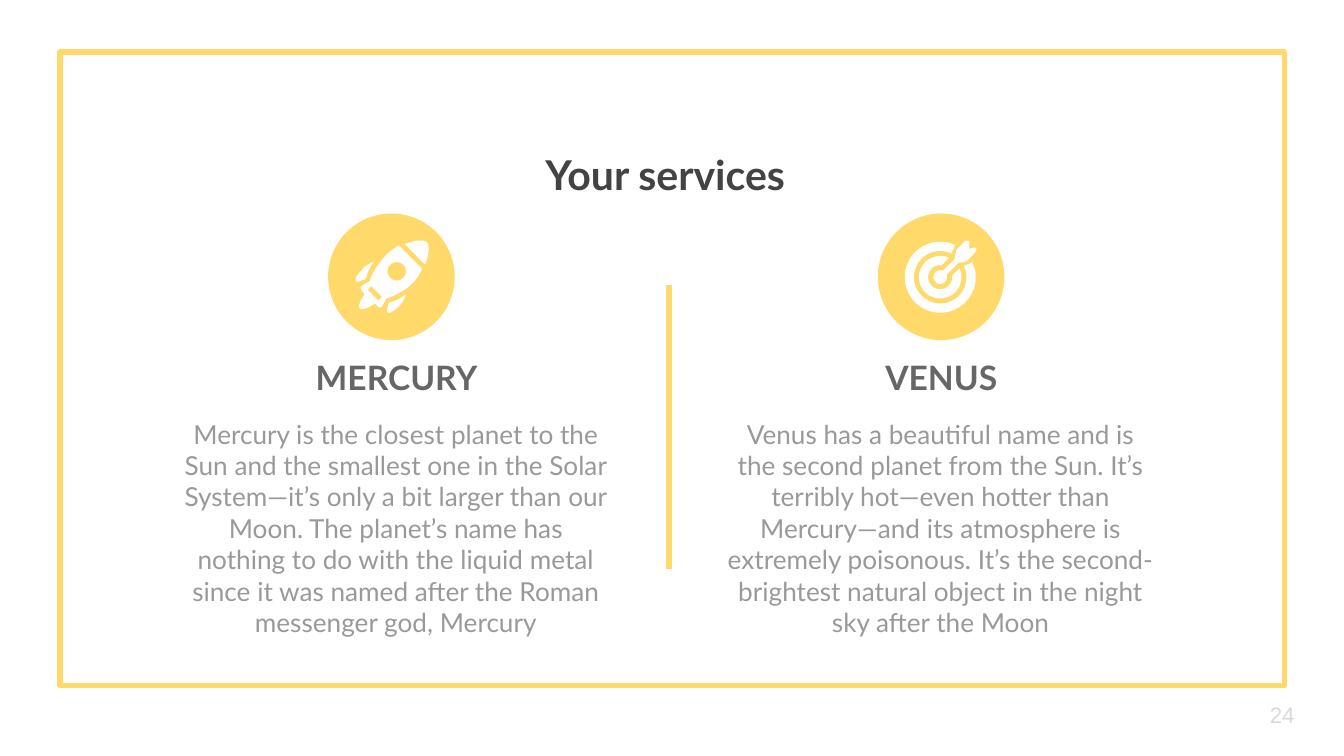
from math import cos, radians, sin, tan

from pptx import Presentation
from pptx.dml.color import RGBColor
from pptx.enum.shapes import MSO_CONNECTOR, MSO_SHAPE as SHAPE
from pptx.enum.text import MSO_ANCHOR as ANCHOR, MSO_AUTO_SIZE, PP_ALIGN as ALIGN
from pptx.oxml.ns import qn
from pptx.util import Pt

YELLOW = RGBColor(0xFF, 0xD9, 0x69)
WHITE = RGBColor(0xFF, 0xFF, 0xFF)
TITLE_GRAY = RGBColor(0x43, 0x43, 0x43)
HEADING_GRAY = RGBColor(0x66, 0x66, 0x66)
BODY_GRAY = RGBColor(0x99, 0x99, 0x99)
NUMBER_GRAY = RGBColor(0xD9, 0xD9, 0xD9)
BADGE_SIZE = 64.8


def arc(center, radius, start, end):
    """Start point and four Bezier curves along an arc, with angles in degrees."""
    step = radians(end - start) / 4
    reach = 4 / 3 * tan(step / 4)

    def at(angle, pull=0):
        return (center[0] + radius * (cos(angle) - pull * sin(angle)),
                center[1] + radius * (sin(angle) + pull * cos(angle)))

    angles = [radians(start) + step * i for i in range(4)]
    return [at(angles[0])] + [at(a, reach) + at(a + step, -reach) + at(a + step) for a in angles]


def broken_ring(outer, inner, inner_gap):
    """Ring open towards the upper right, where the dart enters."""
    return (arc(TARGET_CENTER, outer, -25, 295)
            + arc(TARGET_CENTER, inner, 315 - inner_gap, inner_gap - 45))


# Icons: shapes made of outlines, in points from the badge's corner.
# Pairs are corners, six numbers are a Bezier curve.
ROCKET = [
    # Body, window and slot
    [[(36, 15.8), (32.4, 18, 28.8, 20.9, 26.6, 24.5), (24.5, 26.6, 23, 29.5, 21.6, 32.4),
      (20.9, 34.6), (16.6, 37.2), (15.6, 37.6, 15.6, 38.9, 16.4, 39.6), (18, 41.6),
      (17.3, 43.2, 15.1, 46.1, 15.1, 48.2), (15.1, 49.4, 15.8, 49.7, 17.3, 49.7),
      (18.7, 49.7, 21.6, 47.8, 23.8, 46.8), (25.2, 48.4), (25.9, 49.2, 26.9, 49.2, 27.4, 48.4),
      (29.7, 44), (31, 43.9, 31.7, 43.4, 32.4, 43.2), (35.3, 41.8, 38.2, 40.3, 40.3, 38.9),
      (43.9, 36, 46.8, 33.1, 48.2, 29.5), (49, 28.8, 49, 28.1, 48.4, 27.7),
      (37.4, 16.5), (37, 16, 36.5, 15.8, 36, 15.8)],
     arc((35.3, 29.5), 5, 0, 360),
     [(21.6, 37.4), (27.4, 43.2), (25.5, 45.2), (19.6, 39.3)]],
    # Nose
    [[(48.2, 13), (44.6, 13, 41.8, 13.7, 39.6, 14.9), (50.4, 25.9),
      (51.6, 23, 52.3, 20.2, 52.4, 17.3), (52.4, 15.8, 52.2, 14.6, 51.3, 13.7),
      (50.4, 13, 49, 13, 48.2, 13)]],
    # Lower fin
    [[(40.3, 41.6), (38.2, 43.2, 36, 44.6, 33.8, 45.4), (33.1, 45.8, 31.7, 46.1, 31, 46.3),
      (31, 47.5, 30.2, 49, 29.9, 49.9), (29.5, 51, 30.2, 52, 31.5, 51.7),
      (33.1, 51.1, 34.6, 49.9, 36, 48.6), (38.2, 46.8, 39.6, 43.9, 40.3, 41.6)]],
    # Upper fin
    [[(23, 24.4), (20.2, 25.2, 18, 26.8, 16.4, 28.8), (15.1, 30.2, 13.9, 31.7, 13.2, 33.1),
      (12.6, 34.2, 13.4, 35.6, 14.6, 35.2), (15.8, 34.6, 17.3, 33.9, 18.6, 33.7),
      (19.4, 30.2, 20.9, 27, 23, 24.4)]],
]
TARGET_CENTER = (31.9, 32.6)
TARGET = [
    # Dart with its hub
    [[(46.8, 13.1), (46.4, 12.8, 45.8, 12.8, 45.4, 13.2), (40.6, 18), (39.6, 23), (33.5, 29),
      *arc(TARGET_CENTER, 3.7, -65, -380), (41.8, 24.9), (45.4, 24.5), (46.4, 23.9),
      (51.1, 18.7), (51.8, 17.8, 51.4, 16.6, 50.4, 16.7), (47.4, 17.4), (47.6, 14.4),
      (47.6, 13.6, 47.3, 13.2, 46.8, 13.1)]],
    [broken_ring(11.4, 6.5, 38)],
    [broken_ring(19, 14.1, 20)],
]


def set_text(shape, text, size, color, font="Lato", bold=False,
             align=ALIGN.CENTER, anchor=ANCHOR.TOP):
    frame = shape.text_frame
    frame.text = text
    frame.word_wrap = True
    frame.auto_size = MSO_AUTO_SIZE.NONE
    frame.vertical_anchor = anchor
    frame.margin_left = frame.margin_right = Pt(7.2)
    frame.margin_top = frame.margin_bottom = Pt(7.2)
    paragraph = frame.paragraphs[0]
    paragraph.alignment = align
    paragraph.space_before = Pt(0)
    if shape.is_placeholder:
        remove_bullet(paragraph)
    run_font = paragraph.runs[0].font
    run_font.name, run_font.size, run_font.bold = font, Pt(size), bold
    run_font.color.rgb = color


def remove_bullet(paragraph):
    properties = paragraph._p.get_or_add_pPr()
    properties.set("marL", "0")
    properties.set("indent", "0")
    properties.append(properties.makeelement(qn("a:buNone"), {}))


def place(shape, left, top, width, height):
    shape.left, shape.top = Pt(left), Pt(top)
    shape.width, shape.height = Pt(width), Pt(height)


def add_outlines(group, left, top, outlines):
    """Freeform whose six-number parts become real Bezier curves."""
    builder = None
    for outline in outlines:
        points = [(Pt(left + part[i]), Pt(top + part[i + 1]))
                  for part in outline for i in range(0, len(part), 2)]
        if builder is None:
            builder = group.shapes.build_freeform(*points[0], scale=1.0)
        else:
            builder.move_to(*points[0])
        builder.add_line_segments(points[1:], close=True)
    shape = builder.convert_to_shape()
    segments = iter(list(shape._element.spPr.iter(qn("a:lnTo"))))
    for part in (part for outline in outlines for part in outline[1:]):
        segment = next(segments)
        if len(part) == 6:
            segment.tag = qn("a:cubicBezTo")
            for extra in (next(segments), next(segments)):
                segment.append(extra[0])
                extra.getparent().remove(extra)
    return shape


def add_badge(slide, left, top, icon):
    """Yellow disc with a white icon, grouped."""
    group = slide.shapes.add_group_shape()
    disc = group.shapes.add_shape(SHAPE.OVAL, Pt(left), Pt(top), Pt(BADGE_SIZE), Pt(BADGE_SIZE))
    disc.shadow.inherit = False
    disc.fill.solid()
    disc.fill.fore_color.rgb = YELLOW
    disc.line.color.rgb = YELLOW
    disc.line.width = Pt(3)
    for outlines in icon:
        shape = add_outlines(group, left, top, outlines)
        shape.shadow.inherit = False
        shape.fill.solid()
        shape.fill.fore_color.rgb = WHITE
        shape.line.fill.background()


def add_frame(slide, left, top, width, height):
    """Outer border and the divider between the columns."""
    border = slide.shapes.add_shape(SHAPE.RECTANGLE, Pt(left), Pt(top), Pt(width), Pt(height))
    border.shadow.inherit = False
    border.fill.background()
    x = Pt(left + 326.4)
    divider = slide.shapes.add_connector(MSO_CONNECTOR.STRAIGHT, x, Pt(top + 124.6),
                                         x, Pt(top + 276.6))
    for shape in (border, divider):
        shape.line.color.rgb = YELLOW
        shape.line.width = Pt(3)
    properties = divider._element.spPr
    properties.append(properties.makeelement(qn("a:effectLst"), {}))


def fill_column(slide, heading, body, left, top, width, badge_left, icon, name, text):
    """Badge, heading and description of one service."""
    add_badge(slide, badge_left, top, icon)
    place(heading, left, top + 52.9, width, 51.1)
    set_text(heading, name, 18, HEADING_GRAY, bold=True, anchor=ANCHOR.BOTTOM)
    place(body, left + 2.5, top + 100.9, width - 5.8, 87.8)
    set_text(body, text, 14, BODY_GRAY)


def add_page_number(slide, left, top, width, height):
    box = slide.shapes.add_textbox(Pt(left), Pt(top), Pt(width), Pt(height))
    set_text(box, "24", 12, NUMBER_GRAY, font="Arial", align=ALIGN.LEFT, anchor=ANCHOR.MIDDLE)


def main():
    presentation = Presentation()
    presentation.slide_width, presentation.slide_height = Pt(720), Pt(405)
    slide = presentation.slides.add_slide(presentation.slide_layouts.get_by_name("Comparison"))
    title, left_heading, left_body, right_heading, right_body = slide.placeholders

    add_frame(slide, 32.1, 28, 656, 339.3)
    place(title, -3.6, 72.7, 720, 38.2)
    set_text(title, "Your services", 22, TITLE_GRAY, bold=True)
    fill_column(slide, left_heading, left_body, 87.6, 115.9, 249.8, 177.3, ROCKET, "MERCURY",
                "Mercury is the closest planet to the Sun and the smallest one in the Solar "
                "System—it’s only a bit larger than our Moon. The planet’s name has nothing to do "
                "with the liquid metal since it was named after the Roman messenger god, Mercury")
    fill_column(slide, right_heading, right_body, 379.4, 115.9, 249.8, 471.8, TARGET, "VENUS",
                "Venus has a beautiful name and is the second planet from the Sun. It’s terribly "
                "hot—even hotter than Mercury—and its atmosphere is extremely poisonous. It’s the "
                "second-brightest natural object in the night sky after the Moon")
    add_page_number(slide, 673.2, 367.2, 43.2, 31)
    presentation.save("out.pptx")


if __name__ == "__main__":
    main()
